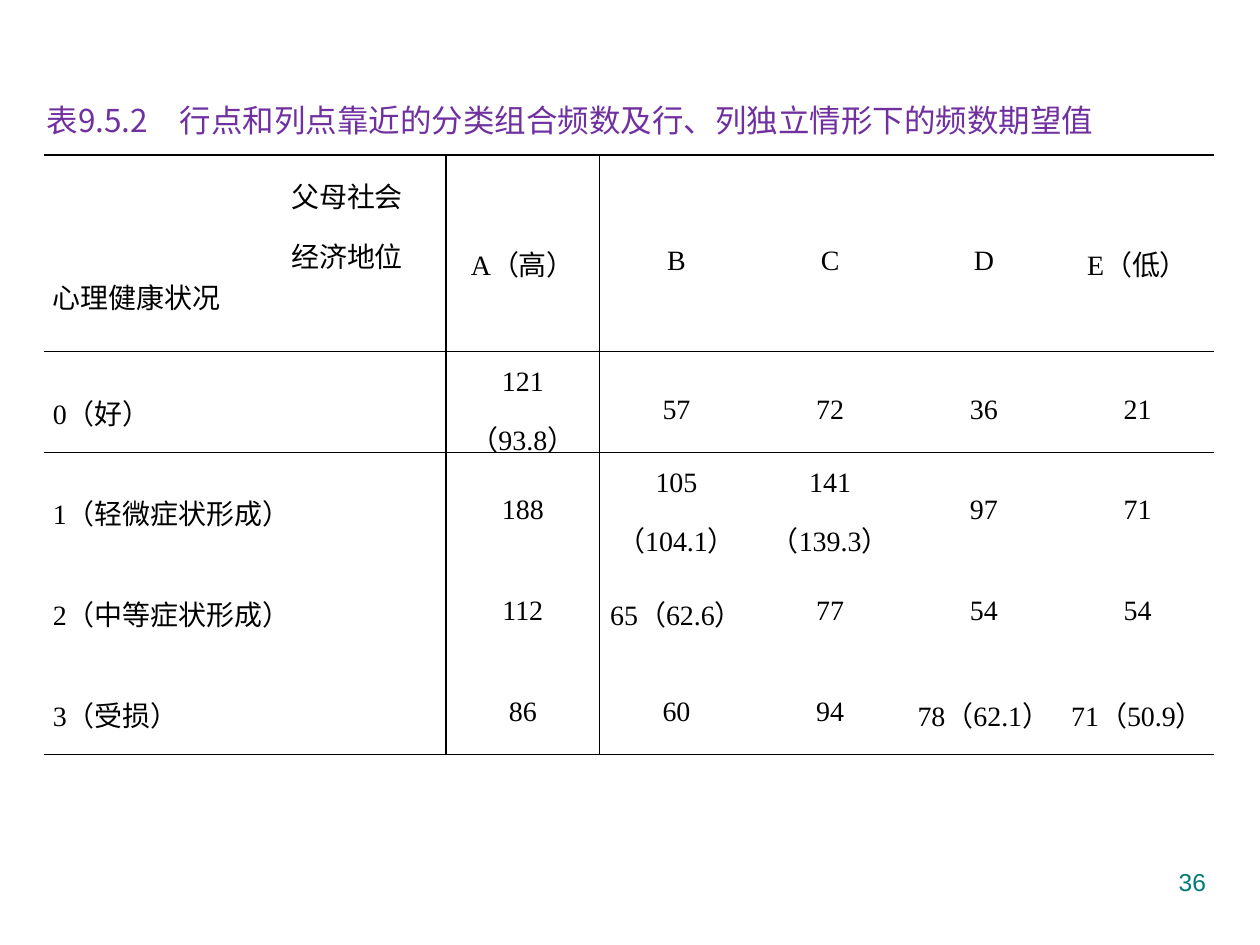
from dataclasses import dataclass

from lxml.etree import SubElement
from pptx import Presentation
from pptx.dml.color import RGBColor
from pptx.enum.text import MSO_ANCHOR, MSO_AUTO_SIZE, PP_ALIGN
from pptx.oxml.ns import qn
from pptx.util import Inches, Pt

# Content
TITLE = "表9.5.2\u3000行点和列点靠近的分类组合频数及行、列独立情形下的频数期望值"
STATUS_HEADING = ["父母社会", "经济地位"]
HEALTH_HEADING = ["心理健康状况"]
STATUS_LEVELS = ["A（高）", "B", "C", "D", "E（低）"]
HEALTH_ROWS = [
    ("0（好）", ["121（93.8）", "57", "72", "36", "21"]),
    ("1（轻微症状形成）", ["188", "105（104.1）", "141（139.3）", "97", "71"]),
    ("2（中等症状形成）", ["112", "65（62.6）", "77", "54", "54"]),
    ("3（受损）", ["86", "60", "94", "78（62.1）", "71（50.9）"]),
]
PAGE_NUMBER = "36"


@dataclass(frozen=True)
class Theme:
    title_color: str = "7030A0"
    table_color: str = "000000"
    page_color: str = "007A77"
    cjk_font: str = "Noto Sans CJK SC"
    table_font: str = "Times New Roman"
    page_font: str = "Arial"
    title_size: int = 18
    table_size: int = 16
    page_size: int = 14
    top_rule: float = 1
    thin_rule: float = 0.75
    plain_table_style: str = "{2D5ABB26-0587-4C30-8999-92F81FD0307C}"


THEME = Theme()
HEADER_ROWS, LABEL_COLUMNS = 2, 2
COLUMN_WIDTHS = [1.62, 1.57] + [1.22] * len(STATUS_LEVELS)
ROW_HEIGHT = 0.76


def write_text(frame, lines, *, font=THEME.table_font, size=THEME.table_size,
               color=THEME.table_color, align=PP_ALIGN.CENTER, spacing=1.0):
    frame.text = "\n".join(lines)
    for paragraph in frame.paragraphs:
        paragraph.alignment = align
        paragraph.line_spacing = spacing
        for run in paragraph.runs:
            run.font.name = font
            run.font.size = Pt(size)
            run.font.bold = False
            run.font.color.rgb = RGBColor.from_string(color)
            east_asian = SubElement(run.font._element, qn("a:ea"))
            east_asian.set("typeface", THEME.cjk_font)


def write_cell(cell, lines, align=PP_ALIGN.CENTER, anchor=MSO_ANCHOR.MIDDLE):
    write_text(cell.text_frame, lines, align=align, spacing=1.5)
    cell.vertical_anchor = anchor


def rule_cell(cell, row, column, row_count):
    """Draw the horizontal rules and the divider beside the labels."""
    last_row = row + cell.span_height - 1
    last_column = column + cell.span_width - 1
    edges = {
        "L": column == LABEL_COLUMNS,
        "R": last_column == LABEL_COLUMNS - 1,
        "T": row in (0, HEADER_ROWS),
        "B": last_row in (HEADER_ROWS - 1, row_count - 1),
    }
    properties = cell._tc.get_or_add_tcPr()
    for side, ruled in edges.items():
        if ruled:
            weight = THEME.top_rule if side == "T" and row == 0 else THEME.thin_rule
            line = SubElement(properties, qn(f"a:ln{side}"), w=str(Pt(weight)))
            fill = SubElement(line, qn("a:solidFill"))
            SubElement(fill, qn("a:srgbClr"), val=THEME.table_color)


presentation = Presentation()
presentation.slide_width, presentation.slide_height = Inches(10), Inches(7.5)
slide = presentation.slides.add_slide(presentation.slide_layouts[5])

# Title
title = slide.shapes.title
title.left, title.top = Inches(0.27), Inches(0.75)
title.width, title.height = Inches(8.79), Inches(0.4)
write_text(title.text_frame, [TITLE], font=THEME.cjk_font, size=THEME.title_size,
           color=THEME.title_color, align=PP_ALIGN.LEFT)
title.text_frame.word_wrap = False
title.text_frame.auto_size = MSO_AUTO_SIZE.SHAPE_TO_FIT_TEXT
title.text_frame.vertical_anchor = MSO_ANCHOR.MIDDLE

# Frequency table
row_count = HEADER_ROWS + len(HEALTH_ROWS)
frequencies = slide.shapes.add_table(
    row_count, len(COLUMN_WIDTHS), Inches(0.35), Inches(1.23),
    Inches(sum(COLUMN_WIDTHS)), Inches(ROW_HEIGHT * row_count)).table
frequencies.first_row = frequencies.horz_banding = False
frequencies._tbl.tblPr.find(qn("a:tableStyleId")).text = THEME.plain_table_style
for column, width in zip(frequencies.columns, COLUMN_WIDTHS):
    column.width = Inches(width)
for row in frequencies.rows:
    row.height = Inches(ROW_HEIGHT)

# Headings
write_cell(frequencies.cell(0, 1), STATUS_HEADING, anchor=MSO_ANCHOR.TOP)
write_cell(frequencies.cell(1, 0), HEALTH_HEADING, PP_ALIGN.JUSTIFY, MSO_ANCHOR.TOP)
for c, level in enumerate(STATUS_LEVELS, LABEL_COLUMNS):
    heading = frequencies.cell(0, c)
    heading.merge(frequencies.cell(HEADER_ROWS - 1, c))
    write_cell(heading, [level])

# Health rows
for r, (label, counts) in enumerate(HEALTH_ROWS, HEADER_ROWS):
    health = frequencies.cell(r, 0)
    health.merge(frequencies.cell(r, LABEL_COLUMNS - 1))
    write_cell(health, [label], PP_ALIGN.JUSTIFY)
    for c, count in enumerate(counts, LABEL_COLUMNS):
        write_cell(frequencies.cell(r, c), [count])

# Rules and margins
for r in range(row_count):
    for c in range(len(COLUMN_WIDTHS)):
        cell = frequencies.cell(r, c)
        cell.margin_left = cell.margin_right = Inches(0.07)
        cell.margin_top = cell.margin_bottom = 0
        rule_cell(cell, r, c, row_count)
        cell.fill.background()

# Page number
page_number = slide.shapes.add_textbox(Inches(7.17), Inches(6.83), Inches(2.5), Inches(0.52))
page_number.text_frame.word_wrap = True
write_text(page_number.text_frame, [PAGE_NUMBER], font=THEME.page_font,
           size=THEME.page_size, color=THEME.page_color, align=PP_ALIGN.RIGHT)

presentation.save("out.pptx")
